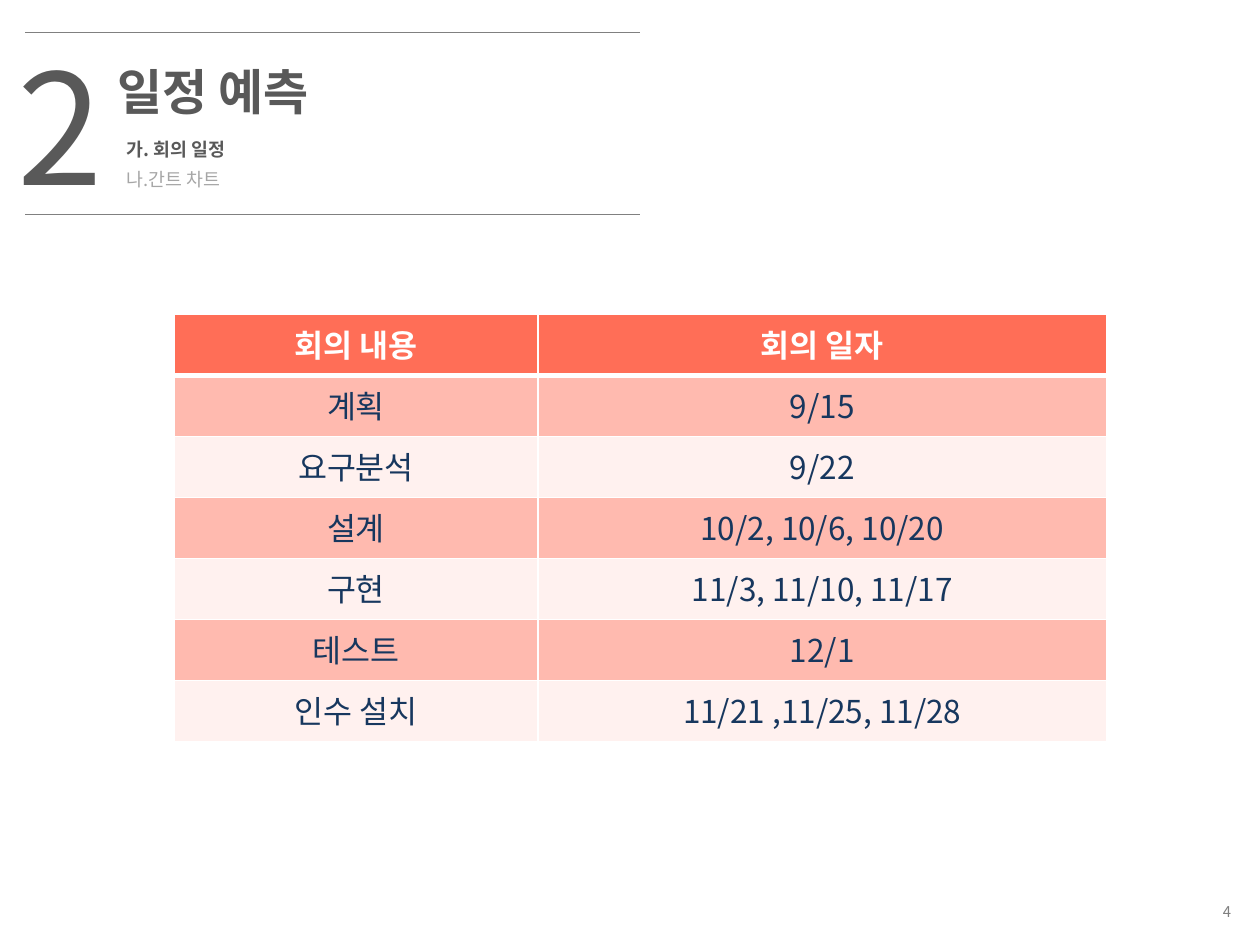
from dataclasses import dataclass

from lxml import etree
from pptx import Presentation
from pptx.dml.color import RGBColor
from pptx.enum.shapes import MSO_CONNECTOR
from pptx.enum.text import MSO_ANCHOR, PP_ALIGN
from pptx.oxml.ns import qn
from pptx.util import Cm, Pt

LEFT, CENTER, RIGHT = PP_ALIGN.LEFT, PP_ALIGN.CENTER, PP_ALIGN.RIGHT
TOP, MIDDLE = MSO_ANCHOR.TOP, MSO_ANCHOR.MIDDLE
STRAIGHT = MSO_CONNECTOR.STRAIGHT


@dataclass(frozen=True)
class Theme:
    dark: str = "595959"
    rule: str = "808080"
    muted: str = "A6A6A6"
    white: str = "FFFFFF"
    navy: str = "17375E"
    coral: str = "FF6E57"
    bands: tuple = ("FFBAAF", "FFF1EF")
    body_font: str = "Noto Sans CJK KR"
    title_font: str = "Arial"
    number_size: float = 88
    title_size: float = 28
    table_size: float = 18
    agenda_size: float = 10.5
    page_size: float = 8.5
    hanging: float = 0.97
    border: float = 1
    header_border: float = 3


@dataclass(frozen=True)
class Box:
    left: float
    top: float
    width: float
    height: float

    def inner(self, dx, dy, width, height):
        return Box(self.left + dx, self.top + dy, width, height)

    def lengths(self):
        return [Cm(v) for v in (self.left, self.top, self.width, self.height)]


THEME = Theme()
MEETINGS = [
    ("회의 내용", "회의 일자"),
    ("계획", "9/15"),
    ("요구분석", "9/22"),
    ("설계", "10/2, 10/6, 10/20"),
    ("구현", "11/3, 11/10, 11/17"),
    ("테스트", "12/1"),
    ("인수 설치", "11/21 ,11/25, 11/28"),
]


def write(paragraph, text, *, size, color, font=THEME.body_font, bold=False,
          align=LEFT, hanging=0, line_spacing=None):
    paragraph.alignment = align
    if line_spacing:
        paragraph.line_spacing = Pt(line_spacing)
    if hanging:
        properties = paragraph._p.get_or_add_pPr()
        properties.set("marL", str(Cm(hanging)))
        properties.set("indent", str(-Cm(hanging)))
    run = paragraph.add_run()
    run.text = text
    run.font.name = font
    run.font.size = Pt(size)
    run.font.bold = bold
    run.font.color.rgb = RGBColor.from_string(color)
    east_asian = etree.SubElement(run._r.get_or_add_rPr(), qn("a:ea"))
    east_asian.set("typeface", THEME.body_font)


def add_text_frame(slide, box, anchor=TOP):
    frame = slide.shapes.add_textbox(*box.lengths()).text_frame
    frame.word_wrap = True
    frame.vertical_anchor = anchor
    return frame


def add_rule(slide, box, y):
    rule = slide.shapes.add_connector(
        STRAIGHT, Cm(box.left), Cm(y), Cm(box.left + box.width), Cm(y))
    rule.line.color.rgb = RGBColor.from_string(THEME.rule)
    rule.line.width = Pt(0.75)
    etree.SubElement(rule._element.spPr, qn("a:effectLst"))


def add_section_header(slide, box, number, title, agenda, current):
    for y in (box.top, box.top + box.height):
        add_rule(slide, box, y)
    title_frame = add_text_frame(slide, box.inner(1.6, 0.46, 11.4, 1.45))
    write(title_frame.paragraphs[0], title, size=THEME.title_size, color=THEME.dark,
          font=THEME.title_font, bold=True, hanging=THEME.hanging)
    number_frame = add_text_frame(slide, box.inner(-0.41, -0.15, 3, 4.01))
    write(number_frame.paragraphs[0], number, size=THEME.number_size,
          color=THEME.dark, hanging=THEME.hanging)
    agenda_frame = add_text_frame(slide, box.inner(1.8, 1.85, 11.6, 1.47))
    for index, entry in enumerate(agenda):
        paragraph = agenda_frame.add_paragraph() if index else agenda_frame.paragraphs[0]
        active = index == current
        write(paragraph, entry, size=THEME.agenda_size, bold=active,
              color=THEME.dark if active else THEME.muted,
              hanging=THEME.hanging, line_spacing=17)


def set_borders(cell, widths):
    properties = cell._tc.get_or_add_tcPr()
    for side, width in widths.items():
        border = etree.SubElement(properties, qn(f"a:ln{side}"), w=str(Pt(width)))
        fill = etree.SubElement(border, qn("a:solidFill"))
        etree.SubElement(fill, qn("a:srgbClr"), val=THEME.white)


def add_meeting_table(slide, box, meetings, column_shares):
    table = slide.shapes.add_table(
        len(meetings), len(column_shares), *box.lengths()).table
    table.horz_banding = False
    for column, share in zip(table.columns, column_shares):
        column.width = Cm(box.width * share)
    for row_index, meeting in enumerate(meetings):
        header = row_index == 0
        table.rows[row_index].height = Cm(box.height / len(meetings))
        widths = dict.fromkeys("LRTB", THEME.border)
        if header:
            widths["B"] = THEME.header_border
        elif row_index == 1:
            widths["T"] = THEME.header_border
        fill = THEME.coral if header else THEME.bands[(row_index - 1) % 2]
        for column_index, text in enumerate(meeting):
            cell = table.cell(row_index, column_index)
            set_borders(cell, widths)
            cell.fill.solid()
            cell.fill.fore_color.rgb = RGBColor.from_string(fill)
            write(cell.text_frame.paragraphs[0], text, size=THEME.table_size,
                  color=THEME.white if header else THEME.navy,
                  bold=header, align=CENTER)


def add_page_number(slide, box, number):
    frame = add_text_frame(slide, box, MIDDLE)
    write(frame.paragraphs[0], number, size=THEME.page_size,
          color=THEME.rule, align=RIGHT)


def main():
    presentation = Presentation()
    presentation.slide_width, presentation.slide_height = Cm(25.4), Cm(19.05)
    slide = presentation.slides.add_slide(presentation.slide_layouts[6])
    add_page_number(slide, Box(19.71, 18.03, 5.36, 0.69), "4")
    add_section_header(slide, Box(0.51, 0.66, 12.4, 3.66), "2", "일정 예측",
                       ["가. 회의 일정", "나.간트 차트"], current=0)
    add_meeting_table(slide, Box(3.51, 6.34, 18.8, 8.61), MEETINGS, (0.39, 0.61))
    presentation.save("out.pptx")


if __name__ == "__main__":
    main()
